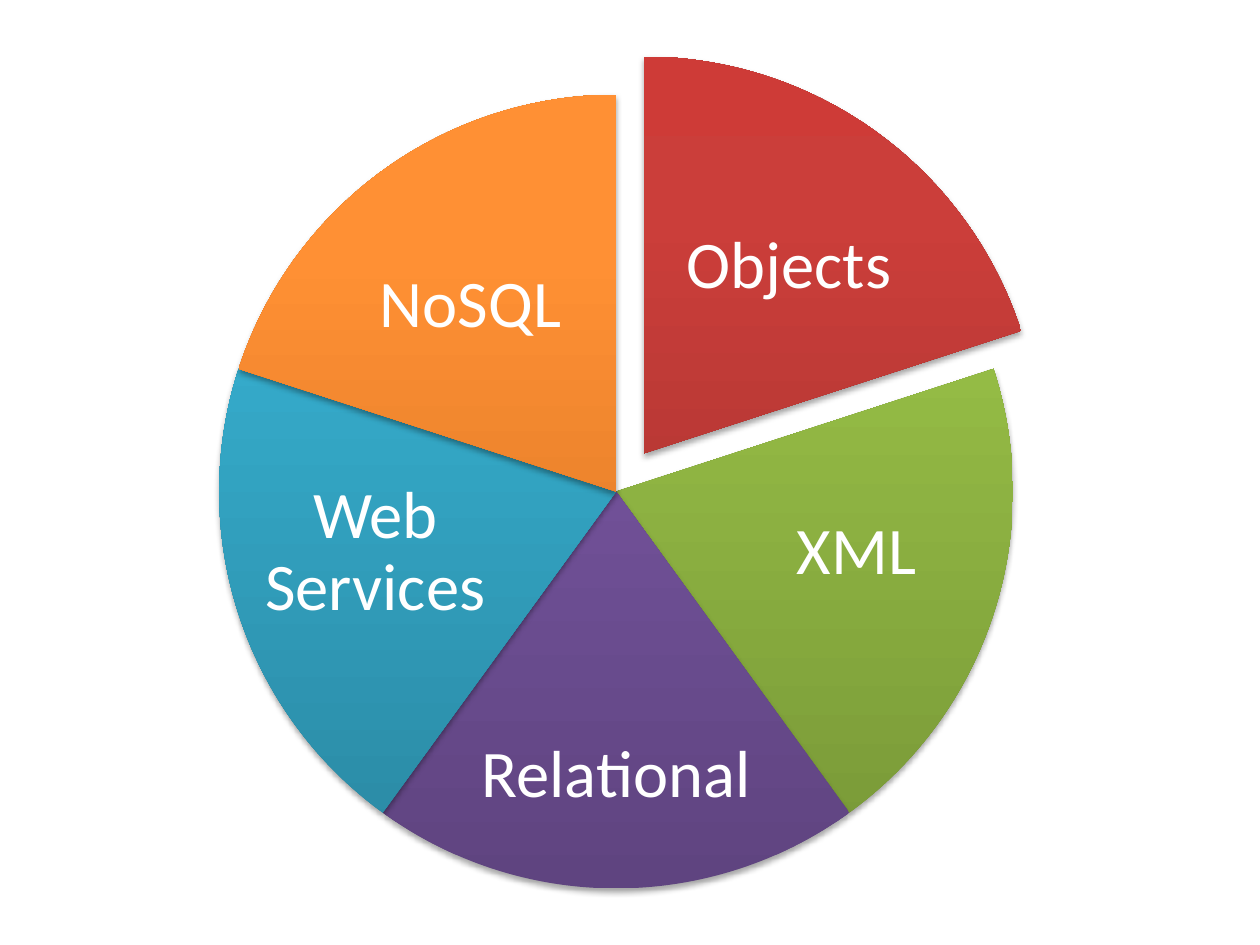
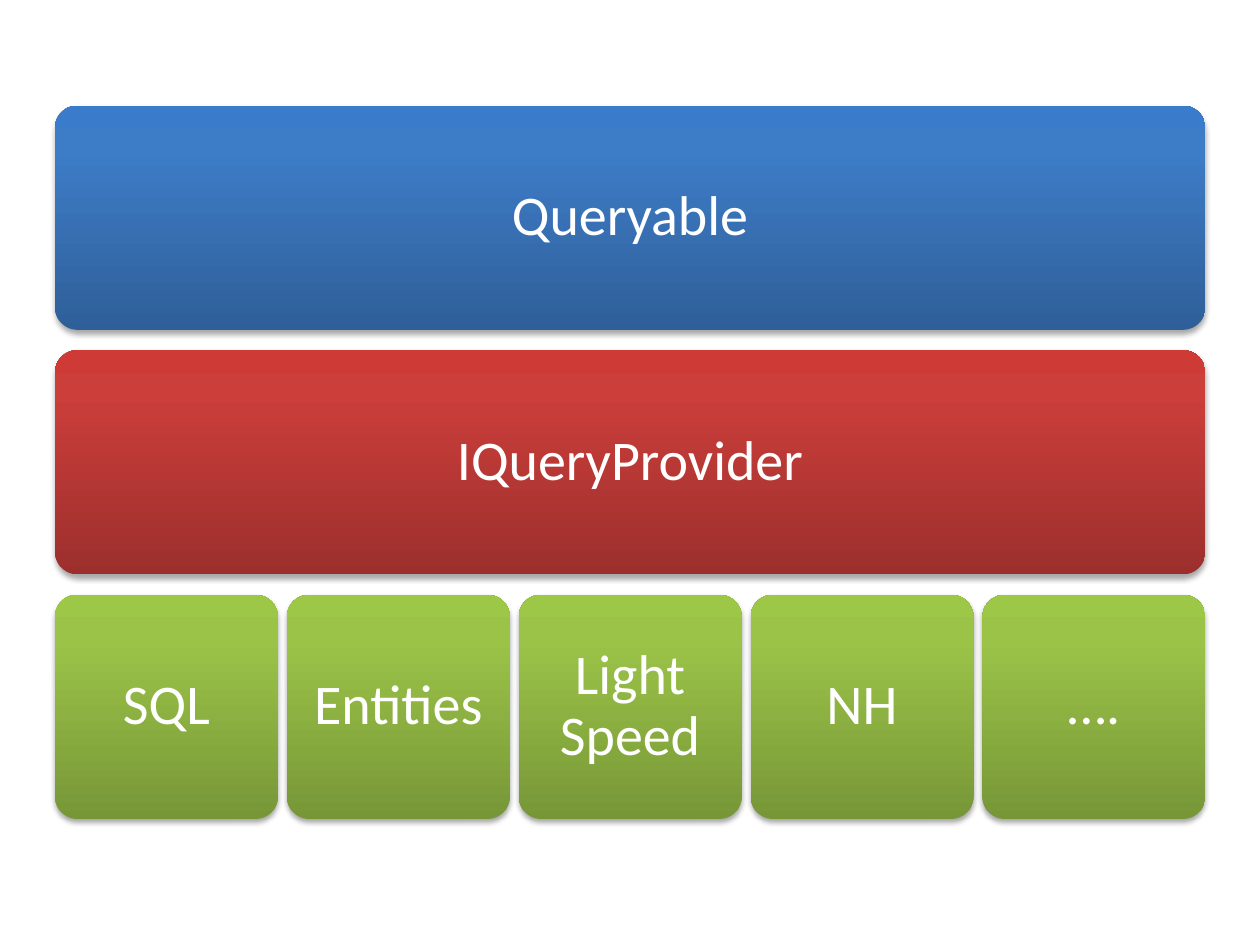
"""Build two slides: a pie of data sources and a stack of query layers."""
import math

import pptx
import pptx.dml.color
import pptx.enum.shapes
import pptx.enum.text
import pptx.oxml
import pptx.oxml.ns
import pptx.util

Cm = pptx.util.Cm
SHAPES = pptx.enum.shapes.MSO_SHAPE

COLOURS = {
    "text": "FFFFFF",
    "blue": ("2F5F99", "3D7CC7", "3A7CCB"),
    "red": ("9C2F2D", "CB3E3A", "CE3B37"),
    "green": ("779737", "9BC348", "9DC746"),
    "purple": ("5F4480", "7B58A6", "7C57A8"),
    "teal": ("2A88A2", "37B1D2", "34B4D6"),
    "orange": ("CC6E20", "FF9034", "FF9136"),
}
FONT = "Calibri"
GRADIENT_STOPS = (0, 80000, 100000)

# Each slice: label, colour, label centre from the pie centre, label size, distance pulled out.
SLICES = [
    ("Objects", "red", (2.93, -3.75), (5.44, 3.71), 0.95),
    ("XML", "green", (4.85, 1.23), (4.78, 4.01), 0),
    ("Relational", "purple", (0, 5.73), (5.72, 3.43), 0),
    ("Web Services", "teal", (-4.85, 1.23), (4.78, 4.01), 0),
    ("NoSQL", "orange", (-2.93, -3.75), (5.44, 3.71), 0),
]
LAYERS = [
    ("blue", ["Queryable"]),
    ("red", ["IQueryProvider"]),
    ("green", ["SQL", "Entities", "Light\nSpeed", "NH", "…."]),
]


def add_glossy_shape(slide, preset, box, colour):
    """Add a preset shape with a vertical gradient, no outline and a soft shadow."""
    shape = slide.shapes.add_shape(preset, *(Cm(length) for length in box))
    shape.line.fill.background()
    namespace = pptx.oxml.ns.nsdecls("a")
    stops = "".join(
        f'<a:gs pos="{position}"><a:srgbClr val="{value}"/></a:gs>'
        for position, value in zip(GRADIENT_STOPS, COLOURS[colour])
    )
    gradient = pptx.oxml.parse_xml(
        f'<a:gradFill {namespace} rotWithShape="1"><a:gsLst>{stops}</a:gsLst>'
        '<a:lin ang="16200000" scaled="0"/></a:gradFill>'
    )
    effects = pptx.oxml.parse_xml(
        f'<a:effectLst {namespace}><a:outerShdw blurRad="40000" dist="23000" dir="5400000" '
        'rotWithShape="0"><a:srgbClr val="000000"><a:alpha val="35000"/></a:srgbClr>'
        "</a:outerShdw></a:effectLst>"
    )
    properties = shape.element.spPr
    properties.insert(2, gradient)
    properties.append(effects)
    return shape


def write_label(shape, text, size, margin):
    """Write centred white text in a shape."""
    frame = shape.text_frame
    frame.word_wrap = True
    frame.vertical_anchor = pptx.enum.text.MSO_ANCHOR.MIDDLE
    frame.margin_left = frame.margin_right = Cm(margin)
    frame.margin_top = frame.margin_bottom = Cm(margin)
    paragraph = frame.paragraphs[0]
    paragraph.text = text
    paragraph.alignment = pptx.enum.text.PP_ALIGN.CENTER
    paragraph.line_spacing = 0.9
    paragraph.font.name = FONT
    paragraph.font.size = pptx.util.Pt(size)
    paragraph.font.color.rgb = pptx.dml.color.RGBColor.from_string(COLOURS["text"])


def add_source_pie(slide, left, top, diameter):
    """Draw equal slices clockwise from twelve o'clock, each with its label."""
    sweep = 360 / len(SLICES)
    for index, (text, colour, centre, size, pull) in enumerate(SLICES):
        start = 270 + index * sweep
        middle = math.radians(start + sweep / 2)
        slice_left = left + pull * math.cos(middle)
        slice_top = top + pull * math.sin(middle)
        box = (slice_left, slice_top, diameter, diameter)
        pie_slice = add_glossy_shape(slide, SHAPES.PIE, box, colour)
        for handle, angle in enumerate((start, start + sweep)):
            pie_slice.adjustments[handle] = angle % 360 * 0.6
        width, height = size
        label = slide.shapes.add_textbox(
            Cm(slice_left + diameter / 2 + centre[0] - width / 2),
            Cm(slice_top + diameter / 2 + centre[1] - height / 2),
            Cm(width),
            Cm(height),
        )
        write_label(label, text, 38, 0.13)


def add_layer_stack(slide, left, top, width, height, row_gap=0.41, tile_gap=0.18):
    """Stack the layers in equal rows and split each row into equal tiles."""
    row_height = (height - row_gap * (len(LAYERS) - 1)) / len(LAYERS)
    for row, (colour, names) in enumerate(LAYERS):
        tile_width = (width - tile_gap * (len(names) - 1)) / len(names)
        tile_top = top + row * (row_height + row_gap)
        for column, name in enumerate(names):
            tile_left = left + column * (tile_width + tile_gap)
            box = (tile_left, tile_top, tile_width, row_height)
            tile = add_glossy_shape(slide, SHAPES.ROUNDED_RECTANGLE, box, colour)
            tile.adjustments[0] = 0.1
            write_label(tile, name, 32, 0.33)


def main():
    """Create the presentation and save it."""
    presentation = pptx.Presentation()
    presentation.slide_width = Cm(25.4)
    presentation.slide_height = Cm(19.05)
    blank = presentation.slide_layouts[6]
    add_source_pie(presentation.slides.add_slide(blank), 4.42, 1.91, 16)
    add_layer_stack(presentation.slides.add_slide(blank), 1.11, 2.13, 23.19, 14.38)
    presentation.save("out.pptx")


if __name__ == "__main__":
    main()
